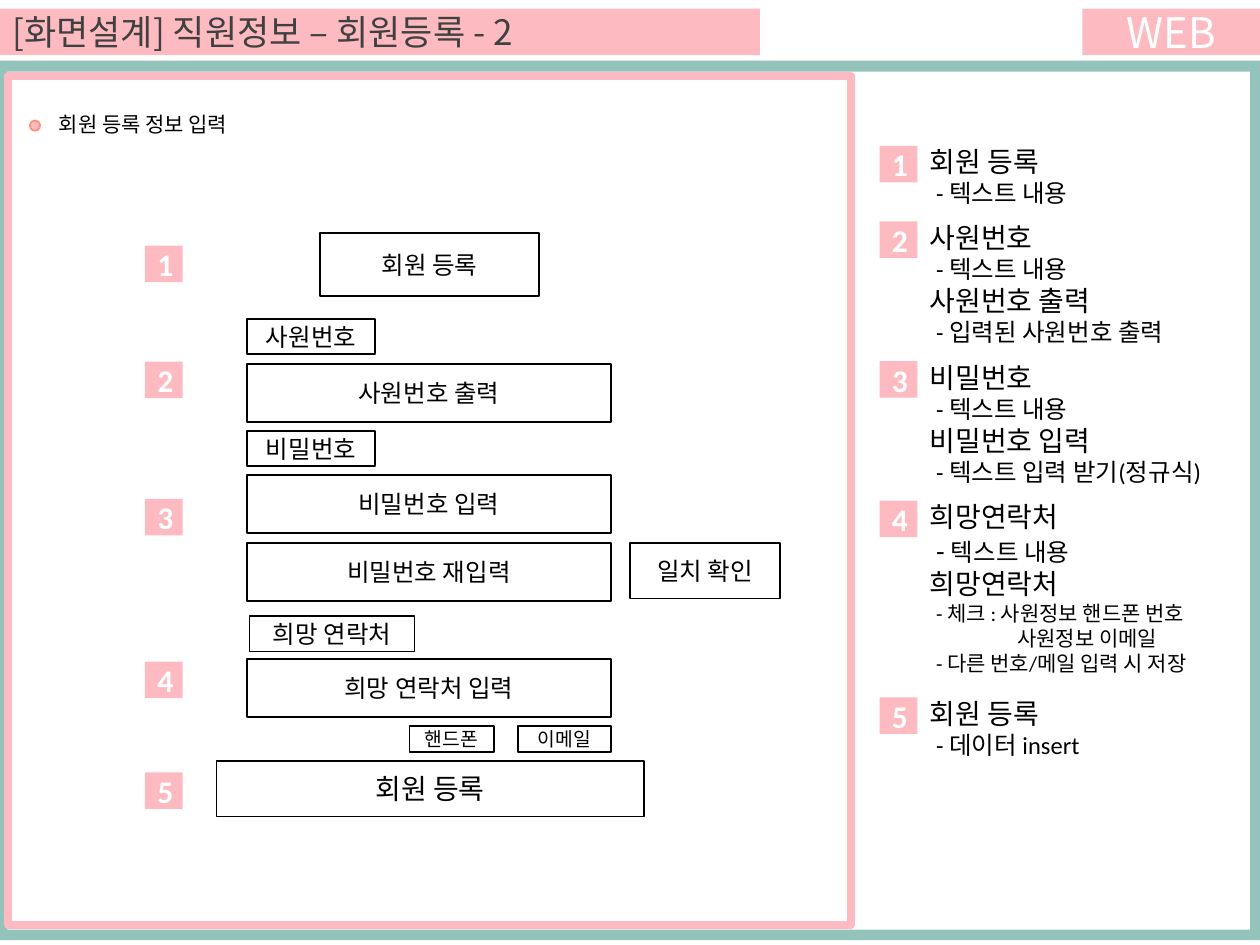
from pptx import Presentation
from pptx.dml.color import RGBColor
from pptx.enum.shapes import MSO_SHAPE
from pptx.enum.text import MSO_ANCHOR, MSO_AUTO_SIZE, PP_ALIGN
from pptx.util import Pt

RECT, OVAL = MSO_SHAPE.RECTANGLE, MSO_SHAPE.OVAL
MIDDLE = MSO_ANCHOR.MIDDLE
FIT_TEXT = MSO_AUTO_SIZE.SHAPE_TO_FIT_TEXT
LEFT, CENTER = PP_ALIGN.LEFT, PP_ALIGN.CENTER

TEAL = RGBColor(0x94, 0xC3, 0xBB)
PINK = RGBColor(0xFD, 0xBB, 0xC1)
CORAL = RGBColor(0xFE, 0x90, 0x7E)
WHITE = RGBColor(0xFF, 0xFF, 0xFF)
BLACK = RGBColor(0, 0, 0)
GRAY = RGBColor(0x40, 0x40, 0x40)
BODY_FONT, HEAD_FONT = "Calibri", "Noto Sans CJK KR"

HEADING, DETAIL, SMALL = 16, 14, 12
DASH_INDENT, CONTINUED_INDENT = 3.6, 50

# Screen fields: text, left, top, width, height, font size
FIELDS = [
    ("회원 등록", 182.9, 133.2, 125.3, 36, 14),
    ("사원번호 출력", 141.1, 208.1, 208.1, 33.1, 14),
    ("사원번호", 141.1, 182.2, 73.4, 20.2, 14),
    ("비밀번호 입력", 141.1, 271.4, 208.1, 33.1, 14),
    ("비밀번호", 141.1, 246.2, 73.4, 20.2, 14),
    ("희망 연락처 입력", 141.1, 376.6, 208.1, 33.1, 14),
    ("희망 연락처", 142.6, 352.1, 94.3, 20.2, 14),
    ("비밀번호 재입력", 141.1, 310.3, 208.1, 33.1, 14),
    ("일치 확인", 360, 310.3, 85.7, 31.7, 14),
    ("회원 등록", 123.8, 434.9, 244.1, 31.7, 16),
    ("핸드폰", 234, 414.7, 48.2, 15.1, 11),
    ("이메일", 295.9, 414.7, 53.3, 15.1, 11),
]
FIELD_BADGE_TOPS = [140.4, 206.6, 285.1, 378, 441.4]

# Description notes: top, height, lines of (size, indent, text, larger lead-in)
TEXT_DETAIL = (DETAIL, DASH_INDENT, "- 텍스트 내용", "")
NOTES = [
    (79.2, 46.1, [(HEADING, 0, "회원 등록", ""), TEXT_DETAIL]),
    (122.4, 82.1, [(HEADING, 0, "사원번호", ""), TEXT_DETAIL,
                   (HEADING, 0, "사원번호 출력", ""),
                   (DETAIL, DASH_INDENT, "- 입력된 사원번호 출력", "")]),
    (202.3, 82.1, [(HEADING, 0, "비밀번호", ""), TEXT_DETAIL,
                   (HEADING, 0, "비밀번호 입력", ""),
                   (DETAIL, DASH_INDENT, "- 텍스트 입력 받기(정규식)", "")]),
    (282, 111.6, [(HEADING, 0, "희망연락처", ""),
                  (DETAIL, DASH_INDENT, "텍스트 내용", "- "),
                  (HEADING, 0, "희망연락처", ""),
                  (SMALL, DASH_INDENT, "- 체크 : 사원정보 핸드폰 번호", ""),
                  (SMALL, CONTINUED_INDENT, "사원정보 이메일", ""),
                  (SMALL, DASH_INDENT, "- 다른 번호/메일 입력 시 저장", "")]),
    (394.4, 43.9, [(HEADING, 0, "회원 등록", ""),
                   (DETAIL, DASH_INDENT, "- 데이터 insert", "")]),
]


def set_font(font, size, color, name=BODY_FONT, bold=False):
    font.size = Pt(size)
    font.name = name
    font.bold = bold
    font.color.rgb = color


def add_panel(slide, box, fill=None, line=None, weight=1, kind=RECT):
    panel = slide.shapes.add_shape(kind, *map(Pt, box))
    panel.shadow.inherit = False
    if fill is None:
        panel.fill.background()
    else:
        panel.fill.solid()
        panel.fill.fore_color.rgb = fill
    if line is None:
        panel.line.fill.background()
    else:
        panel.line.color.rgb = line
        panel.line.width = Pt(weight)
    return panel


def add_label(slide, box, text, size, color, fill, line=None,
              font=BODY_FONT, bold=False, align=CENTER):
    frame = add_panel(slide, box, fill, line).text_frame
    frame.vertical_anchor = MIDDLE
    paragraph = frame.paragraphs[0]
    paragraph.text = text
    paragraph.alignment = align
    set_font(paragraph.font, size, color, font, bold)


def add_badge(slide, left, top, number):
    add_label(slide, (left, top, 21.6, 20.9), str(number), 18, WHITE, PINK, bold=True)


def add_lines(slide, box, lines):
    frame = slide.shapes.add_textbox(*map(Pt, box)).text_frame
    frame.word_wrap = True
    frame.auto_size = FIT_TEXT
    for index, (size, indent, text, lead) in enumerate(lines):
        paragraph = frame.add_paragraph() if index else frame.paragraphs[0]
        paragraph._p.get_or_add_pPr().set("marL", str(Pt(indent)))
        if lead:
            lead_run = paragraph.add_run()
            lead_run.text = lead
            lead_run.font.size = Pt(HEADING)
        paragraph.add_run().text = text
        set_font(paragraph.font, size, BLACK)


def main():
    deck = Presentation()
    deck.slide_width, deck.slide_height = Pt(720), Pt(540)
    slide = deck.slides.add_slide(deck.slide_layouts[6])

    # Page frame
    add_panel(slide, (0, 34.6, 720, 502.6), TEAL)
    add_panel(slide, (4.3, 41, 709.9, 490.3), WHITE)
    add_panel(slide, (4.6, 43.4, 481.7, 485.3), line=PINK, weight=4.5)

    # Header
    add_label(slide, (0, 5, 434.2, 26.6), "[화면설계] 직원정보 – 회원등록 - 2",
              20, GRAY, PINK, font=HEAD_FONT, align=LEFT)
    add_label(slide, (618.5, 5, 101.5, 26.6), "WEB", 24, WHITE, PINK, font=HEAD_FONT)

    # Screen caption
    add_panel(slide, (17.1, 68.9, 5.8, 5.8), PINK, CORAL, kind=OVAL)
    add_lines(slide, (23.8, 60.5, 277.9, 21.6), [(SMALL, 2.7, "회원 등록 정보 입력", "")])

    # Screen fields and their numbers
    for text, left, top, width, height, size in FIELDS:
        add_label(slide, (left, top, width, height), text, size, BLACK, WHITE, BLACK)
    for number, top in enumerate(FIELD_BADGE_TOPS, 1):
        add_badge(slide, 82.8, top, number)

    # Description notes
    for number, (top, height, lines) in enumerate(NOTES, 1):
        add_badge(slide, 502.6, top + 4.1, number)
        add_lines(slide, (524.2, top, 190.8, height), lines)

    deck.save("out.pptx")


if __name__ == "__main__":
    main()
